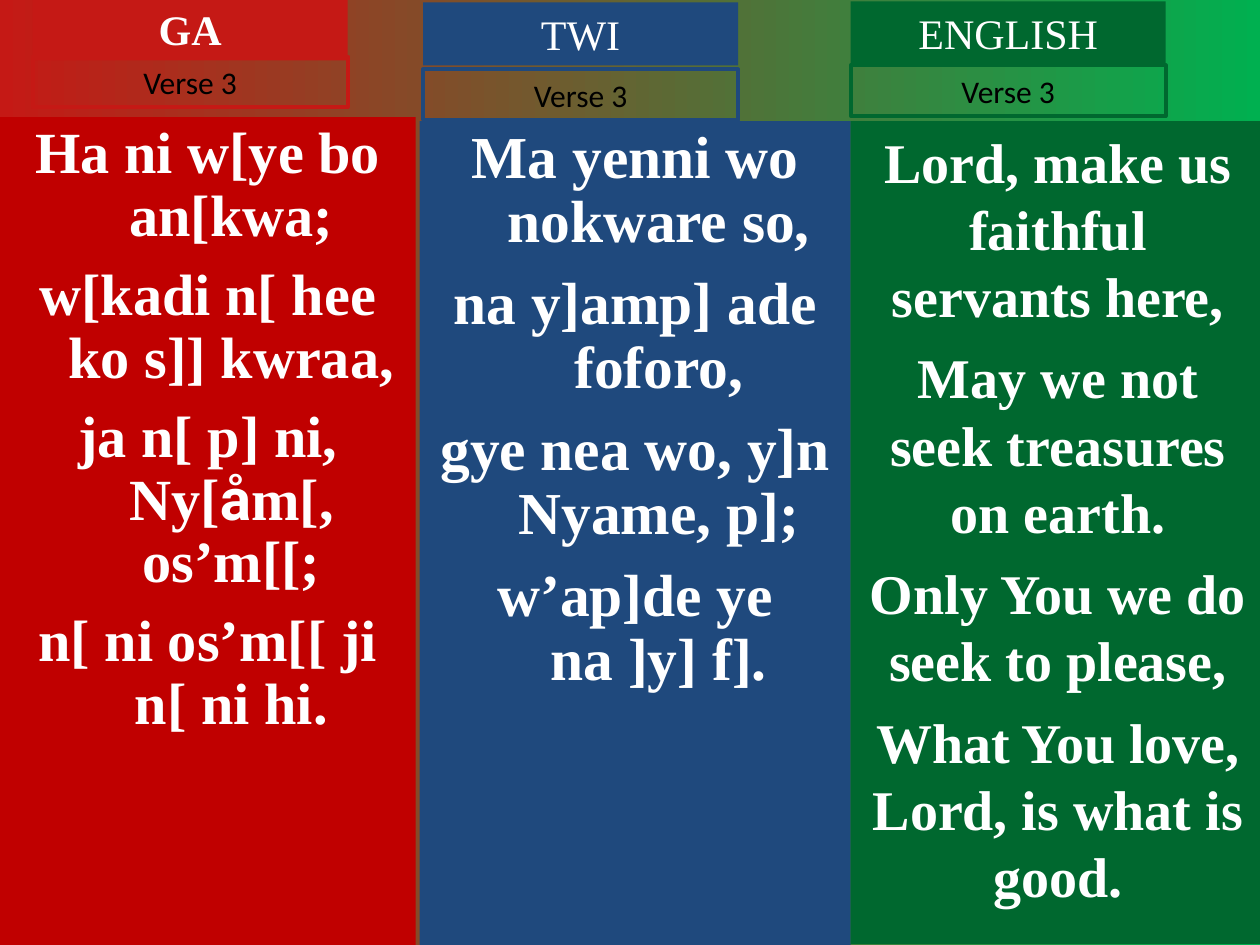
import pptx
import pptx.dml.color
import pptx.enum.text
import pptx.oxml
import pptx.util
from pptx.util import Cm, Pt

SERIF, SANS, ACCENT = "Times New Roman", "Calibri", "Roboto"
WHITE, BLACK = "FFFFFF", "000000"
COMPARISON_LAYOUT = 4


def colour(value):
    return pptx.dml.color.RGBColor.from_string(value)


def add_text(paragraph, text, font=SERIF, size=24, ink=WHITE, bold=False):
    """Append one formatted span to a paragraph."""
    span = paragraph.add_run()
    span.text = text
    span.font.name = font
    span.font.size = Pt(size)
    span.font.bold = bold
    span.font.color.rgb = colour(ink)


class HymnPage:
    def __init__(self, deck):
        self.page = deck.slides.add_slide(deck.slide_layouts[COMPARISON_LAYOUT])
        self.label_width = Cm(6.35)

    def background(self, start, end):
        fill = self.page.background.fill
        fill.gradient()
        fill.gradient_angle = 0
        for stop, value in zip(fill.gradient_stops, (start, end)):
            stop.color.rgb = colour(value)

    def place(self, box, left, top, width, height):
        box.left, box.top, box.width, box.height = left, top, width, height
        frame = box.text_frame
        frame.word_wrap = True
        frame.auto_size = pptx.enum.text.MSO_AUTO_SIZE.NONE
        frame.vertical_anchor = pptx.enum.text.MSO_ANCHOR.TOP
        frame.paragraphs[0].alignment = pptx.enum.text.PP_ALIGN.CENTER
        return frame

    def text_box(self):
        return self.page.shapes.add_textbox(0, 0, self.label_width, Cm(1))

    def heading(self, text, left, top, fill, bold=False, box=None):
        box = box or self.text_box()
        frame = self.place(box, left, top, self.label_width, Cm(1.27))
        box.fill.solid()
        box.fill.fore_color.rgb = colour(fill)
        add_text(frame.paragraphs[0], text, bold=bold)

    def verse_label(self, text, left, top, line):
        box = self.text_box()
        frame = self.place(box, left, top, self.label_width, Cm(1.02))
        box.line.color.rgb = colour(line)
        box.line.width = Pt(2.25)
        add_text(frame.paragraphs[0], text, font=SANS, size=18, ink=BLACK)

    def lyrics(self, index, lines, area, fill, size, gap, spacing, hanging):
        box = self.page.placeholders[index]
        frame = self.place(box, *area)
        box.fill.solid()
        box.fill.fore_color.rgb = colour(fill)
        for number, line in enumerate(lines):
            paragraph = frame.add_paragraph() if number else frame.paragraphs[0]
            properties = paragraph._p.get_or_add_pPr()
            properties.set("marL", str(hanging))
            properties.set("indent", str(-hanging))
            properties.append(pptx.oxml.parse_xml(
                '<a:buNone xmlns:a='
                '"http://schemas.openxmlformats.org/drawingml/2006/main"/>'))
            paragraph.alignment = pptx.enum.text.PP_ALIGN.CENTER
            paragraph.line_spacing = spacing
            paragraph.space_before = Pt(gap if number else 0)
            self.lyric_line(paragraph, line, size)

    def lyric_line(self, paragraph, line, size):
        """Write a line, with å in its own font and breaks at newlines."""
        for row_number, row in enumerate(line.split("\n")):
            if row_number:
                paragraph.add_line_break()
            before, accent, after = row.partition("å")
            for text, font in ((before, SERIF), (accent, ACCENT), (after, SERIF)):
                if text:
                    add_text(paragraph, text, font=font, size=size, bold=True)

    def drop_empty_placeholders(self):
        for box in list(self.page.placeholders):
            if not box.text_frame.text:
                box.element.getparent().remove(box.element)


GA = ["Ha ni w[ye bo an[kwa;", "w[kadi n[ hee ko s]] kwraa,",
      "ja n[ p] ni, Ny[åm[, os’m[[;", "n[ ni os’m[[ ji n[ ni hi."]
TWI = ["Ma yenni wo nokware so,", "na y]amp] ade foforo,",
       "gye nea wo, y]n Nyame, p];", "w’ap]de ye\nna ]y] f]."]
ENGLISH = ["Lord, make us faithful servants here,",
           "May we not seek treasures on earth.",
           "Only You we do seek to please,",
           "What You love, Lord, is what is good."]


def main():
    deck = pptx.Presentation()
    deck.slide_width, deck.slide_height = Cm(25.4), Cm(19.05)
    hymn = HymnPage(deck)
    hymn.background("C51915", "00B050")

    red, blue, green = "C51915", "1F497D", "00682F"
    hanging = Cm(0.95)
    hymn.lyrics(1, GA, (Cm(0), Cm(2.36), Cm(8.38), Cm(16.69)),
                "C00000", 33.3, 9, 0.9, hanging)
    hymn.lyrics(2, TWI, (Cm(8.46), Cm(2.44), Cm(8.69), Cm(16.61)),
                blue, 34, 10, 0.9, hanging)
    hymn.lyrics(3, ENGLISH, (Cm(17.15), Cm(2.44), Cm(8.36), Cm(16.59)),
                green, 32, 8, 1.0, 0)

    hymn.heading("GA", Cm(0.66), Cm(-0.05), red, bold=True,
                 box=hymn.page.shapes.title)
    hymn.heading("TWI", Cm(8.53), Cm(0.05), blue)
    hymn.heading("ENGLISH", Cm(17.15), Cm(0.03), green)
    for left, top, line in ((0.66, 1.14, red), (8.53, 1.4, blue),
                            (17.15, 1.32, green)):
        hymn.verse_label("Verse 3", Cm(left), Cm(top), line)

    hymn.drop_empty_placeholders()
    deck.save("out.pptx")


if __name__ == "__main__":
    main()
